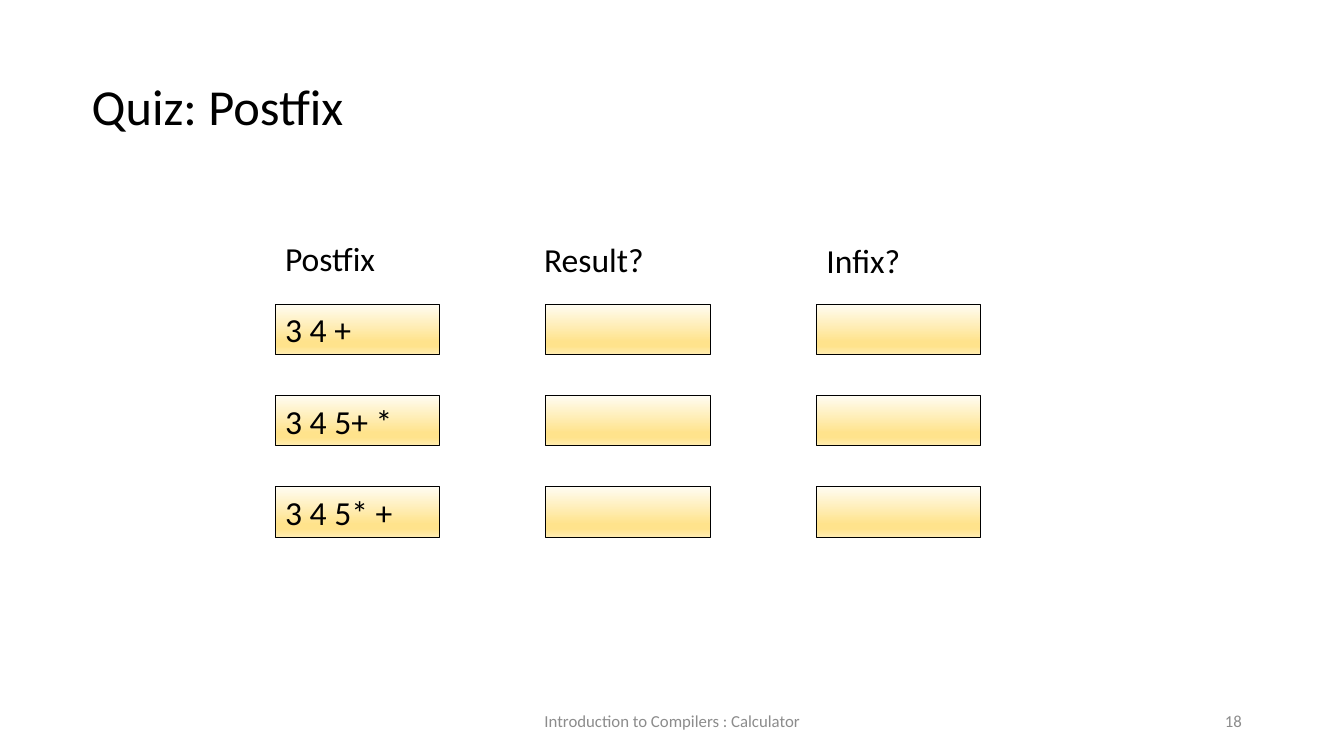
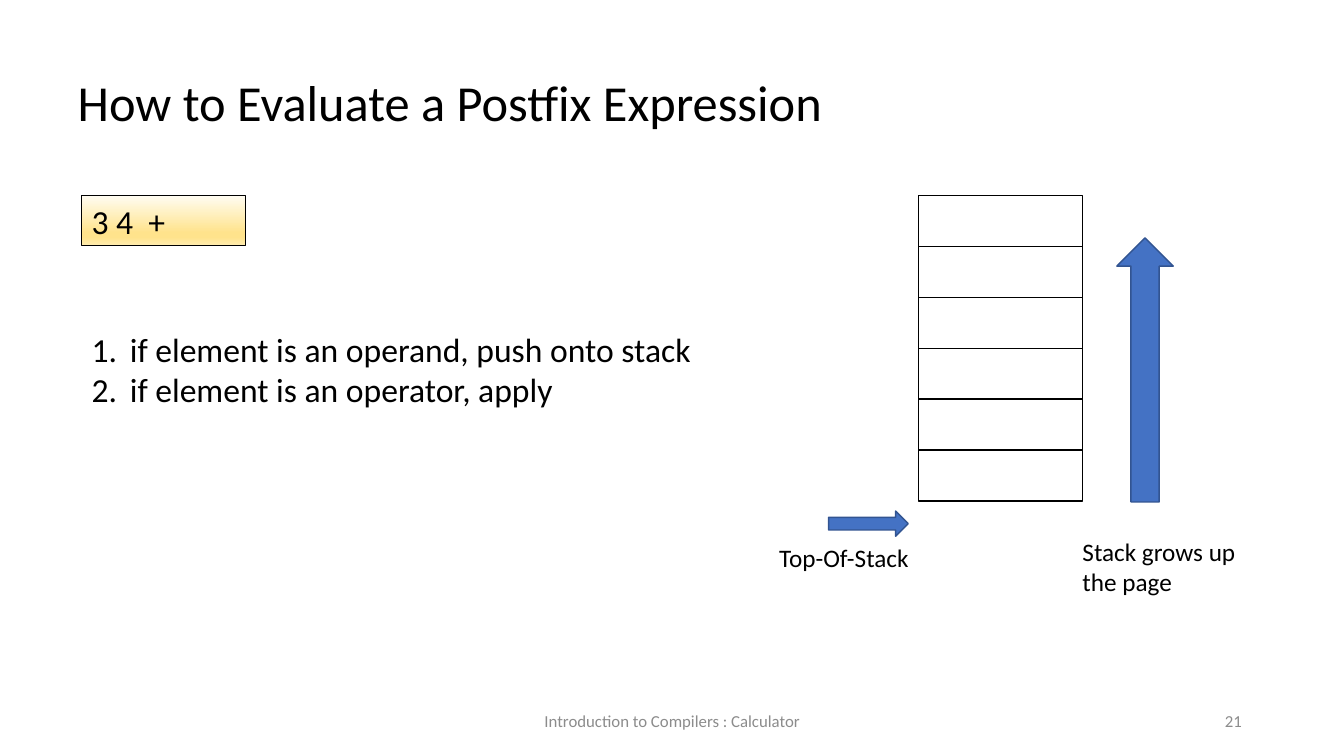
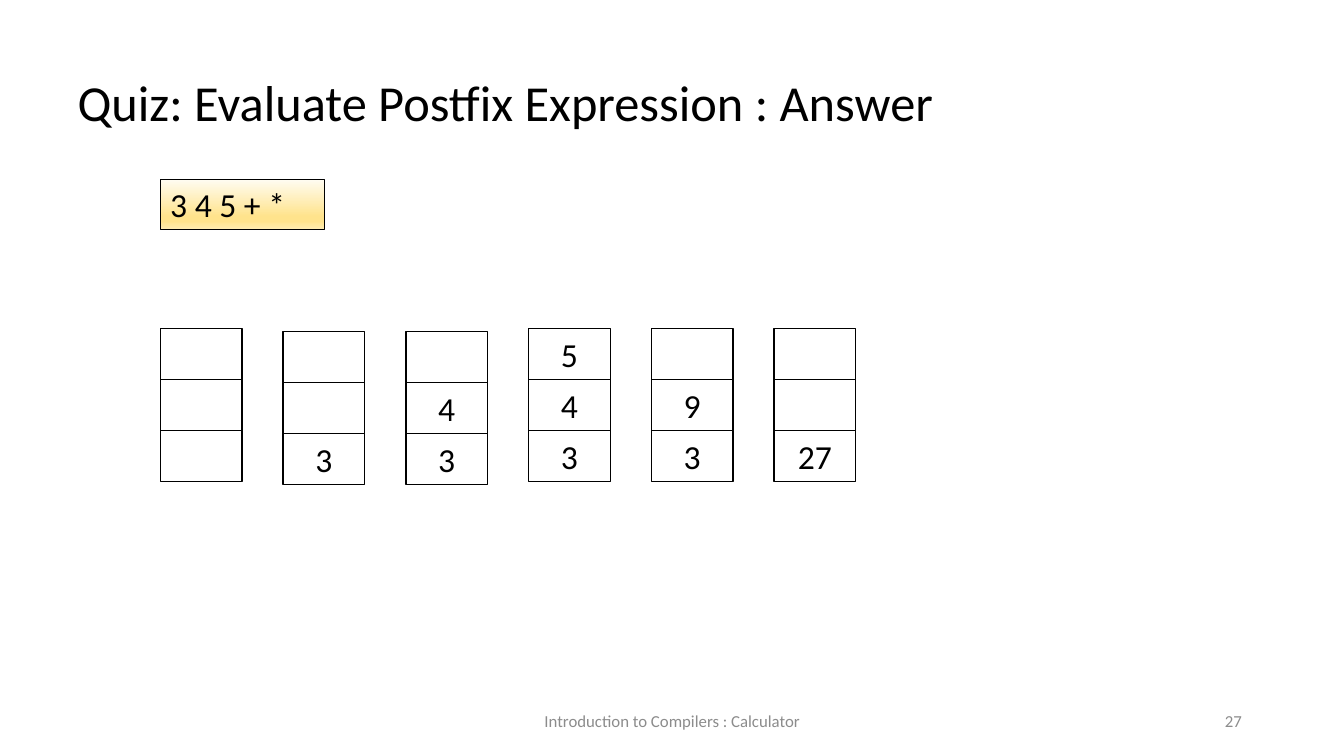
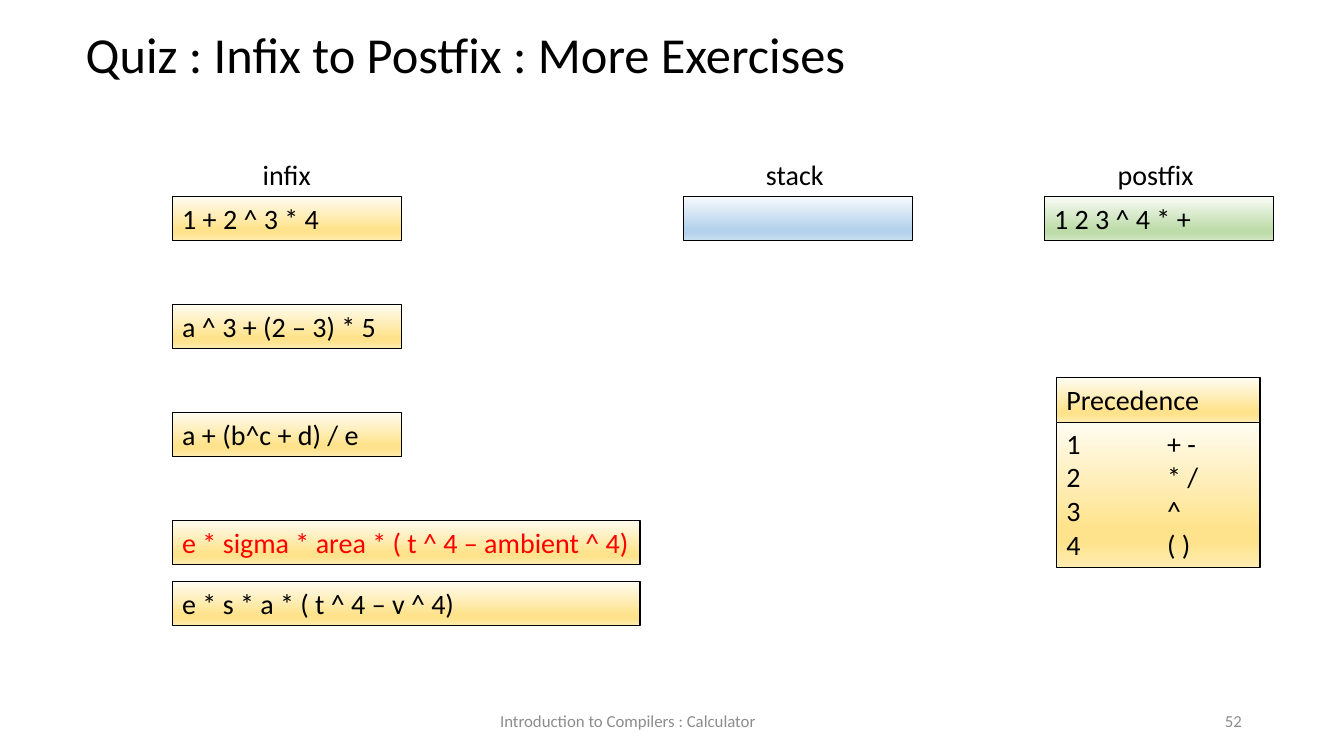
from copy import deepcopy
from dataclasses import dataclass
from typing import Optional

from lxml.etree import SubElement
from pptx import Presentation
from pptx.dml.color import RGBColor
from pptx.enum.shapes import MSO_SHAPE as Preset
from pptx.enum.text import MSO_ANCHOR as Anchor, MSO_AUTO_SIZE as AutoSize, PP_ALIGN as Align
from pptx.oxml.ns import qn
from pptx.util import Inches, Pt

MODULE = Inches(0.1)
SLIDE_COLUMNS, SLIDE_ROWS = 133.33, 75
TITLE_ONLY = 5

BLACK = RGBColor(0x00, 0x00, 0x00)
RED = RGBColor(0xFF, 0x00, 0x00)
GRAY = RGBColor(0x8C, 0x8C, 0x8C)
ARROW_FILL = RGBColor(0x44, 0x72, 0xC4)
ARROW_LINE = RGBColor(0x32, 0x54, 0x91)

STOPS = (0, 0.74, 0.83, 1)
GOLD_MAIN = RGBColor(0xFF, 0xE3, 0x8C)
BLUE_MAIN = RGBColor(0xB5, 0xD2, 0xEC)
GREEN_MAIN = RGBColor(0xBE, 0xDC, 0xAA)
GOLD = (RGBColor(0xFF, 0xFC, 0xF2), GOLD_MAIN, GOLD_MAIN, RGBColor(0xFF, 0xEC, 0xB2))
BLUE = (RGBColor(0xF7, 0xFA, 0xFD), BLUE_MAIN, BLUE_MAIN, RGBColor(0xCE, 0xE1, 0xF2))
GREEN = (RGBColor(0xF8, 0xFB, 0xF6), GREEN_MAIN, GREEN_MAIN, RGBColor(0xD4, 0xE8, 0xC6))


@dataclass(frozen=True)
class Area:
    column: float
    row: float
    columns: float
    rows: float

    def emu(self) -> tuple[int, ...]:
        return tuple(round(n * MODULE) for n in (self.column, self.row, self.columns, self.rows))


@dataclass(frozen=True)
class Grid:
    first: Area
    across: float = 0
    down: float = 0

    def cell(self, column: int, row: int) -> Area:
        start = self.first
        return Area(start.column + column * self.across, start.row + row * self.down,
                    start.columns, start.rows)


@dataclass(frozen=True)
class Style:
    size: float
    color: RGBColor = BLACK
    alignment: Align = Align.LEFT
    anchor: Anchor = Anchor.TOP
    numbered: bool = False
    tab: Optional[float] = None


TITLE = Style(36)
LARGE = Style(24)
MEDIUM = Style(20)
MEDIUM_RED = Style(20, RED)
HEADING = Style(20, alignment=Align.CENTER)
CAPTION = Style(18)
STEPS = Style(24, numbered=True)
STACK_ITEM = Style(24, alignment=Align.CENTER, anchor=Anchor.MIDDLE)
PRECEDENCE = Style(20, tab=10)
FOOTER = Style(12, GRAY, Align.CENTER, Anchor.MIDDLE)
PAGE_NUMBER = Style(12, GRAY, Align.RIGHT, Anchor.MIDDLE)


def assign(target, values: dict) -> None:
    for name, value in values.items():
        setattr(target, name, value)


def write(shape, text: str, style: Style) -> None:
    frame = shape.text_frame
    assign(frame, {"word_wrap": True, "auto_size": AutoSize.NONE, "vertical_anchor": style.anchor})
    for index, line in enumerate(text.split("\n")):
        paragraph = frame.add_paragraph() if index else frame.paragraphs[0]
        paragraph.alignment = style.alignment
        properties = paragraph._p.get_or_add_pPr()
        if style.numbered:
            properties.set("marL", str(Inches(0.38)))
            properties.set("indent", str(-Inches(0.38)))
            SubElement(properties, qn("a:buAutoNum"), type="arabicPeriod")
        if style.tab is not None:
            stops = SubElement(properties, qn("a:tabLst"))
            SubElement(stops, qn("a:tab"), pos=str(round(style.tab * MODULE)), algn="l")
        run = paragraph.add_run()
        run.text = line
        assign(run.font, {"name": "Calibri", "size": Pt(style.size), "bold": False})
        run.font.color.rgb = style.color


def add_label(slide, area: Area, text: str, style: Style) -> None:
    write(slide.shapes.add_textbox(*area.emu()), text, style)


def add_outline(slide, area: Area, preset: Preset = Preset.RECTANGLE,
                color: RGBColor = BLACK, width: float = 1):
    shape = slide.shapes.add_shape(preset, *area.emu())
    shape.shadow.inherit = False
    shape.fill.background()
    shape.line.color.rgb = color
    shape.line.width = Pt(width)
    return shape


def add_panel(slide, area: Area, text: str = "", style: Style = LARGE, shades: tuple = GOLD) -> None:
    panel = add_outline(slide, area, width=0.75)
    panel.fill.gradient()
    panel.fill.gradient_angle = 270
    stop_list = panel._element.spPr.find(qn("a:gradFill")).find(qn("a:gsLst"))
    while len(stop_list) < len(STOPS):
        stop_list.append(deepcopy(stop_list[0]))
    for stop, position, shade in zip(panel.fill.gradient_stops, STOPS, shades):
        stop.position = position
        stop.color.rgb = shade
    if text:
        write(panel, text, style)


def add_stack(slide, grid: Grid, items: tuple[str, ...]) -> None:
    for row, item in enumerate(items):
        slot = add_outline(slide, grid.cell(0, row))
        if item:
            write(slot, item, STACK_ITEM)


def add_arrow(slide, preset: Preset, area: Area) -> None:
    arrow = add_outline(slide, area, preset, ARROW_LINE)
    arrow.fill.solid()
    arrow.fill.fore_color.rgb = ARROW_FILL


def start_slide(deck, title: str, title_area: Area, number: int, footer_column: float = 44.2):
    slide = deck.slides.add_slide(deck.slide_layouts[TITLE_ONLY])
    heading = slide.shapes.title
    assign(heading, dict(zip(("left", "top", "width", "height"), title_area.emu())))
    write(heading, title, TITLE)
    add_label(slide, Area(footer_column, 69.5, 45, 4), "Introduction to Compilers : Calculator", FOOTER)
    add_label(slide, Area(94.2, 69.5, 30, 4), str(number), PAGE_NUMBER)
    return slide


def postfix_quiz(deck) -> None:
    slide = start_slide(deck, "Quiz: Postfix", Area(8.1, 6.9, 114.1, 7.1), 18)
    quiz = Grid(Area(27.3, 30.2, 16.3, 5), 26.85, 9.05)
    for row, expression in enumerate(("3 4 +", "3 4 5+ *", "3 4 5* +")):
        for column, answer in enumerate((expression, "", "")):
            add_panel(slide, quiz.cell(column, row), answer)
    for column, row, heading in ((27.3, 23.1, "Postfix"), (53, 23.2, "Result?"), (81, 23.3, "Infix?")):
        add_label(slide, Area(column, row, 16.3, 5), heading, LARGE)


def evaluation(deck) -> None:
    slide = start_slide(deck, "How to Evaluate a Postfix Expression", Area(6.7, 6.6, 114.1, 7.1), 21)
    add_panel(slide, Area(8.1, 19.4, 16.3, 5), "3 4  +")
    add_stack(slide, Grid(Area(91.1, 19.4, 16.3, 5.05), down=5.05), ("",) * 6)
    add_label(slide, Area(8.1, 32.1, 66.3, 9.1),
              "if element is an operand, push onto stack\nif element is an operator, apply", STEPS)
    add_label(slide, Area(76.3, 53.3, 17.9, 4), "Top-Of-Stack", CAPTION)
    add_label(slide, Area(106.4, 52.7, 17.9, 7.1), "Stack grows up the page", CAPTION)
    add_arrow(slide, Preset.UP_ARROW, Area(110.8, 23.6, 5.6, 26.2))
    add_arrow(slide, Preset.RIGHT_ARROW, Area(82.2, 50.7, 7.9, 2.5))


def evaluation_answer(deck) -> None:
    slide = start_slide(deck, "Quiz: Evaluate Postfix Expression : Answer",
                        Area(6.7, 6.6, 114.1, 7.1), 27)
    add_panel(slide, Area(15.9, 17.8, 16.3, 5), "3 4 5 + *")
    states = ((32.6, ("", "", "")), (32.9, ("", "", "3")), (32.9, ("", "4", "3")),
              (32.6, ("5", "4", "3")), (32.6, ("", "9", "3")), (32.6, ("", "", "27")))
    for step, (top, items) in enumerate(states):
        add_stack(slide, Grid(Area(15.9 + step * 12.18, top, 8.1, 5.05), down=5.05), items)


def infix_exercises(deck) -> None:
    slide = start_slide(deck, "Quiz : Infix to Postfix : More Exercises",
                        Area(7.5, 1.8, 90.6, 7.1), 52, 39.8)
    for column, heading in ((17.1, "infix"), (67.5, "stack"), (103.3, "postfix")):
        add_label(slide, Area(column, 15.1, 22.7, 4.4), heading, HEADING)
    exercises = Grid(Area(17.1, 19.5, 22.7, 4.4), down=10.7)
    for row, infix in enumerate(("1 + 2 ^ 3 * 4", "a ^ 3 + (2 – 3) * 5", "a + (b^c + d) / e")):
        add_panel(slide, exercises.cell(0, row), infix, MEDIUM)
    add_panel(slide, Area(67.8, 19.5, 22.7, 4.4), shades=BLUE)
    add_panel(slide, Area(103.6, 19.5, 22.7, 4.4), "1 2 3 ^ 4 * +", MEDIUM, GREEN)
    add_panel(slide, Area(17.1, 51.6, 46.4, 4.4), "e * sigma * area * ( t ^ 4 – ambient ^ 4)", MEDIUM_RED)
    add_panel(slide, Area(17.1, 57.7, 46.4, 4.4), "e * s * a * ( t ^ 4 – v ^ 4)", MEDIUM)
    add_panel(slide, Area(104.8, 41.8, 20.2, 14.5), "1\t+ -\n2\t* /\n3\t^\n4\t( )", PRECEDENCE)
    add_panel(slide, Area(104.8, 37.5, 20.2, 4.4), "Precedence", MEDIUM)


def main() -> None:
    deck = Presentation()
    deck.slide_width = round(SLIDE_COLUMNS * MODULE)
    deck.slide_height = round(SLIDE_ROWS * MODULE)
    for build in (postfix_quiz, evaluation, evaluation_answer, infix_exercises):
        build(deck)
    deck.save("out.pptx")


if __name__ == "__main__":
    main()
